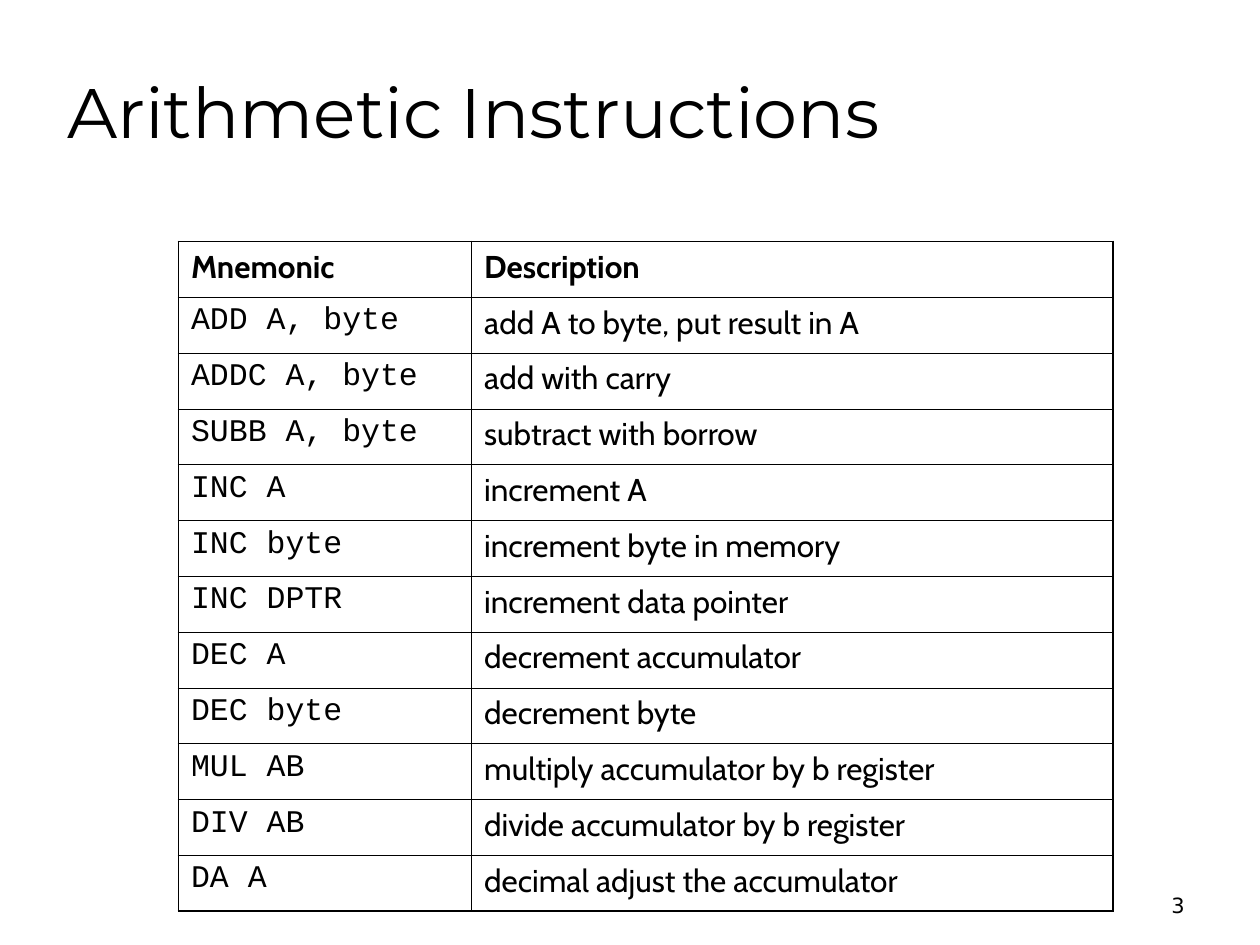
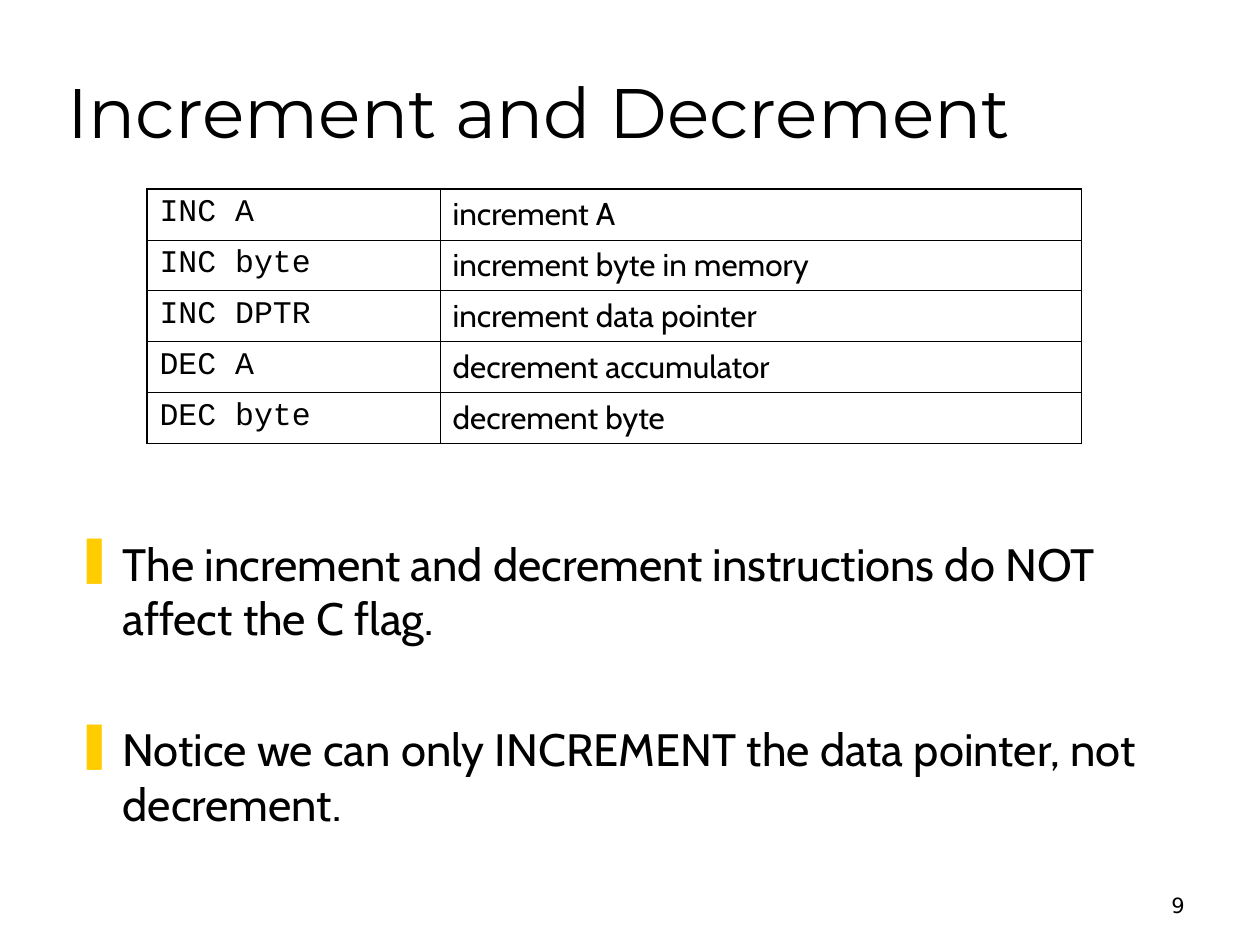
import pptx
import pptx.dml.color
import pptx.enum.text
import pptx.oxml.ns
import pptx.util
from lxml import etree

Pt = pptx.util.Pt
ANCHOR = pptx.enum.text.MSO_ANCHOR
ALIGN = pptx.enum.text.PP_ALIGN

INSTRUCTIONS = [
    ("ADD A, byte", "add A to byte, put result in A"),
    ("ADDC A, byte", "add with carry"),
    ("SUBB A, byte", "subtract with borrow"),
    ("INC A", "increment A"),
    ("INC byte", "increment byte in memory"),
    ("INC DPTR", "increment data pointer"),
    ("DEC A", "decrement accumulator"),
    ("DEC byte", "decrement byte"),
    ("MUL AB", "multiply accumulator by b register"),
    ("DIV AB", "divide accumulator by b register"),
    ("DA A", "decimal adjust the accumulator"),
]
STEP_INSTRUCTIONS = [row for row in INSTRUCTIONS if row[0][:3] in ("INC", "DEC")]


def color(value):
    return pptx.dml.color.RGBColor.from_string(value)


def add_element(parent, tag, **attributes):
    return etree.SubElement(parent, pptx.oxml.ns.qn(tag), attributes)


class Lecture:
    """Holds the shared style and the slide being filled."""

    TEXT, ACCENT = "000000", "FFCC00"
    TITLE_FONT, BODY_FONT = "Montserrat", "Cabin"
    CODE_FONT, NUMBER_FONT = "Courier New", "DejaVu Sans"
    OUTER_LINE, INNER_LINE = 1.08, 0.45
    COLUMN_WIDTHS = (167.5, 366.5)

    def __init__(self):
        self.deck = pptx.Presentation()
        self.deck.slide_width, self.deck.slide_height = Pt(720), Pt(540)
        self.page = None

    def add_page(self, title, number):
        self.page = self.deck.slides.add_slide(self.deck.slide_layouts[6])
        # Title
        frame = self.text_box(31.5, 18, 612, 90, ANCHOR.MIDDLE)
        self.add_span(frame.paragraphs[0], title, self.TITLE_FONT, 40)
        # Page number
        frame = self.text_box(516, 492, 168, 36, ANCHOR.BOTTOM)
        frame.paragraphs[0].alignment = ALIGN.RIGHT
        self.add_span(frame.paragraphs[0], str(number), self.NUMBER_FONT, 12)

    def text_box(self, left, top, width, height, anchor):
        box = self.page.shapes.add_textbox(Pt(left), Pt(top), Pt(width), Pt(height))
        frame = box.text_frame
        frame.word_wrap = True
        frame.vertical_anchor = anchor
        return frame

    def add_span(self, para, text, font, size, bold=False):
        span = para.add_run()
        span.text = text
        span.font.name = font
        span.font.size = Pt(size)
        span.font.bold = bold
        span.font.color.rgb = color(self.TEXT)

    def bullets(self, left, top, width, height, texts, gap):
        frame = self.text_box(left, top, width, height, ANCHOR.BOTTOM)
        frame.margin_bottom = Pt(2)
        for index, text in enumerate(texts):
            para = frame.add_paragraph() if index else frame.paragraphs[0]
            para.space_before = Pt(gap if index else 0)
            properties = para._p.get_or_add_pPr()
            properties.set("marL", str(Pt(27)))
            properties.set("indent", str(Pt(-27)))
            bullet_color = add_element(properties, "a:buClr")
            add_element(bullet_color, "a:srgbClr", val=self.ACCENT)
            add_element(properties, "a:buChar", char="❚")
            self.add_span(para, text, self.BODY_FONT, 25.9)

    def table(self, left, top, row_height, rows, header=None):
        lines = ([header] if header else []) + rows
        shape = self.page.shapes.add_table(
            len(lines), len(self.COLUMN_WIDTHS), Pt(left), Pt(top),
            Pt(sum(self.COLUMN_WIDTHS)), Pt(row_height * len(lines)))
        grid = shape.table
        grid.first_row = grid.horz_banding = False
        for column, width in zip(grid.columns, self.COLUMN_WIDTHS):
            column.width = Pt(width)
        for r, line in enumerate(lines):
            grid.rows[r].height = Pt(row_height)
            is_header = line is header
            for c, text in enumerate(line):
                cell = grid.cell(r, c)
                is_code = c == 0 and not is_header
                para = cell.text_frame.paragraphs[0]
                para.space_before = Pt(4.5)
                self.add_span(para, text, self.CODE_FONT if is_code else self.BODY_FONT,
                              18, is_header)
                self.borders(cell, {"L": c == 0, "R": c == len(line) - 1,
                                    "T": r == 0, "B": r == len(lines) - 1})
                cell.fill.background()

    def borders(self, cell, outer_sides):
        properties = cell._tc.get_or_add_tcPr()
        for side, is_outer in outer_sides.items():
            width = Pt(self.OUTER_LINE if is_outer else self.INNER_LINE)
            line = add_element(properties, f"a:ln{side}", w=str(width))
            fill = add_element(line, "a:solidFill")
            add_element(fill, "a:srgbClr", val=self.TEXT)


def main():
    lecture = Lecture()

    # All arithmetic instructions
    lecture.add_page("Arithmetic Instructions", 3)
    lecture.table(102, 138, 31.9, INSTRUCTIONS, ("Mnemonic", "Description"))

    # Increment and decrement
    lecture.add_page("Increment and Decrement", 9)
    lecture.bullets(36, 148.5, 643.5, 328, [
        "The increment and decrement instructions do NOT affect the C flag.",
        "Notice we can only INCREMENT the data pointer, not decrement.",
    ], gap=44)
    lecture.table(84, 108, 29.1, STEP_INSTRUCTIONS)

    lecture.deck.save("out.pptx")


if __name__ == "__main__":
    main()
